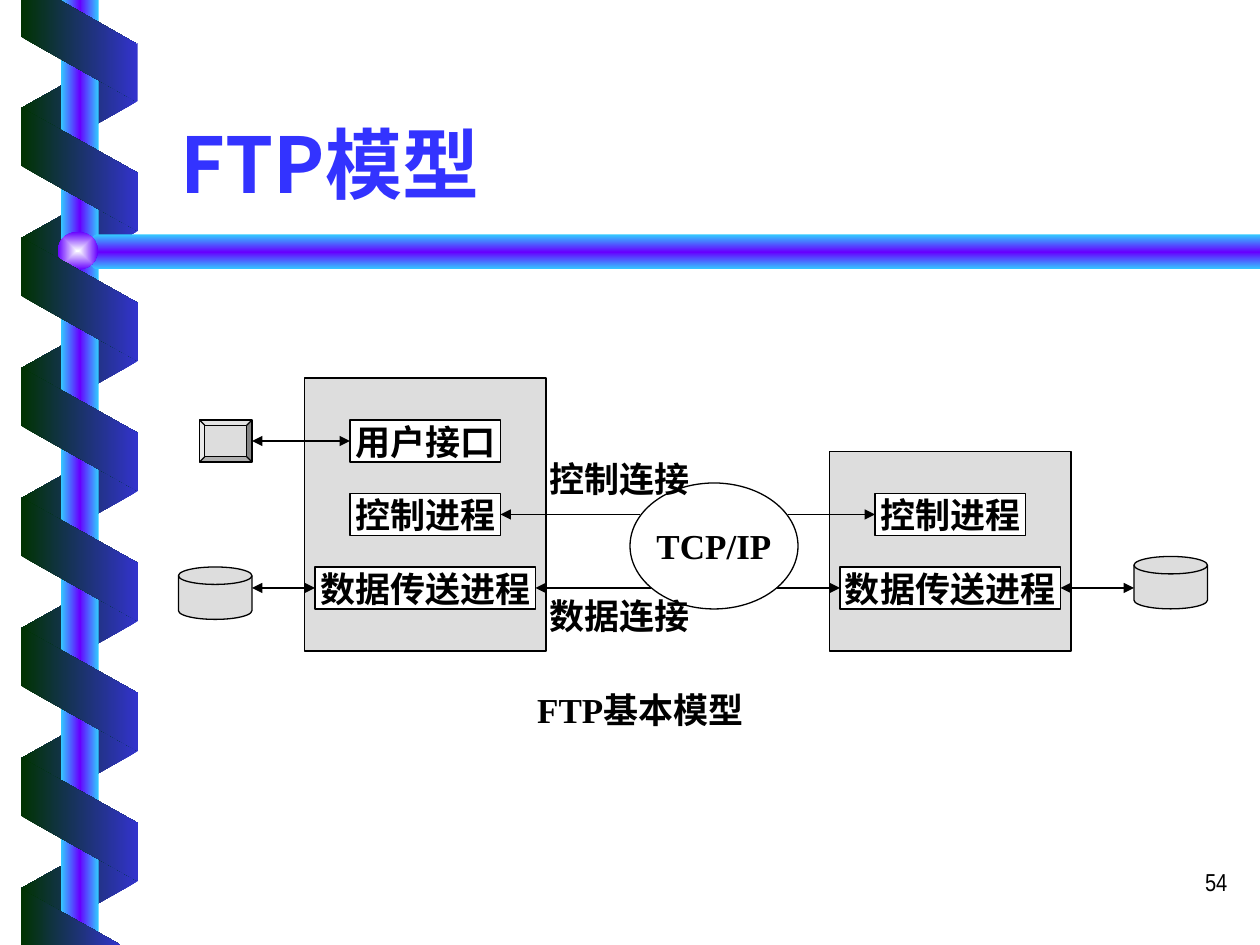
from dataclasses import dataclass
from typing import NamedTuple

from lxml.etree import SubElement
from pptx import Presentation
from pptx.dml.color import RGBColor
from pptx.enum.shapes import MSO_CONNECTOR, MSO_SHAPE as SHAPE
from pptx.enum.text import MSO_ANCHOR as ANCHOR, MSO_AUTO_SIZE as FIT, PP_ALIGN as ALIGN
from pptx.oxml.ns import qn
from pptx.util import Pt


@dataclass(frozen=True)
class Theme:
    title: str = "3333FF"
    ink: str = "000000"
    paper: str = "FFFFFF"
    panel: str = "DDDDDD"
    dark: str = "003300"
    blue: str = "3333CC"
    sky: str = "33CCFF"
    violet: str = "6600FF"
    glow: str = "FEFFFF"
    serif: str = "Times New Roman"
    sans: str = "Noto Sans CJK SC"
    narrow: str = "Arial Narrow"
    title_size: float = 44
    label_size: float = 20
    number_size: float = 14
    line: float = 0.75


class Box(NamedTuple):
    x: float
    y: float
    w: float
    h: float


class Node(NamedTuple):
    kind: SHAPE
    box: Box
    fill: str | None
    text: str = ""


class Arrow(NamedTuple):
    x1: float
    x2: float
    y: float
    both: bool = False


class Caption(NamedTuple):
    box: Box
    text: str


T = Theme()
RIBBON = (T.dark, T.blue)
TUBE = (T.sky, T.violet, T.sky)


def write(tf, text: str, *, size=T.label_size, font=T.serif, color=T.ink, bold=True,
          align=ALIGN.CENTER, anchor=ANCHOR.TOP, wrap=True, fit=FIT.NONE) -> None:
    tf.word_wrap, tf.auto_size, tf.vertical_anchor = wrap, fit, anchor
    p = tf.paragraphs[0]
    p.alignment = align
    r = p.add_run()
    r.text = text
    r.font.size, r.font.name, r.font.bold = Pt(size), font, bold
    r.font.color.rgb = RGBColor.from_string(color)
    SubElement(r.font._element, qn("a:ea"), typeface=T.sans)


def shade(sp, colors: tuple, *, angle: int | None = 0) -> None:
    """Evenly spaced gradient; angle None makes it radiate from the centre."""
    sp.shadow.inherit = False
    sp.line.fill.background()
    sp.fill.gradient()
    grad = sp._element.spPr.find(qn("a:gradFill"))
    grad.set("rotWithShape", "0")
    for child in list(grad):
        grad.remove(child)
    stops = SubElement(grad, qn("a:gsLst"))
    for i, color in enumerate(colors):
        stop = SubElement(stops, qn("a:gs"), pos=str(100000 * i // (len(colors) - 1)))
        SubElement(stop, qn("a:srgbClr"), val=color)
    if angle is None:
        center = SubElement(grad, qn("a:path"), path="rect")
        SubElement(center, qn("a:fillToRect"), dict.fromkeys("ltrb", "50000"))
    else:
        SubElement(grad, qn("a:lin"), ang=str(angle * 60000), scaled="0")


def add_shape(shapes, kind: SHAPE, box: Box):
    return shapes.add_shape(kind, *map(Pt, box))


def add_band(shapes, y: float, *, front: bool) -> None:
    sp = add_shape(shapes, SHAPE.PARALLELOGRAM, Box(10.1, y, 70.5, 66.6))
    sp.adjustments[0] = 0.56
    sp.rotation = 270 if front else 90
    if not front:
        sp._element.spPr.find(qn("a:xfrm")).set("flipH", "1")
    shade(sp, RIBBON if front else RIBBON[::-1])


def add_outline(shapes, points: list, colors: tuple, *, angle: int = 0) -> None:
    builder = shapes.build_freeform(*points[0], scale=Pt(1))
    builder.add_line_segments(points[1:], close=True)
    shade(builder.convert_to_shape(), colors, angle=angle)


def add_node(shapes, node: Node) -> None:
    sp = add_shape(shapes, node.kind, node.box)
    sp.shadow.inherit = False
    if node.fill:
        sp.fill.solid()
        sp.fill.fore_color.rgb = RGBColor.from_string(node.fill)
    else:
        sp.fill.background()
    sp.line.color.rgb = RGBColor.from_string(T.ink)
    sp.line.width = Pt(T.line)
    if node.text:
        write(sp.text_frame, node.text, anchor=ANCHOR.MIDDLE, wrap=False)


def add_arrow(shapes, arrow: Arrow) -> None:
    cx = shapes.add_connector(MSO_CONNECTOR.STRAIGHT, *map(Pt, (arrow.x1, arrow.y, arrow.x2, arrow.y)))
    cx.line.color.rgb = RGBColor.from_string(T.ink)
    cx.line.width = Pt(T.line)
    ln = cx.line._get_or_add_ln()
    for end in ("headEnd", "tailEnd") if arrow.both else ("tailEnd",):
        SubElement(ln, qn(f"a:{end}"), type="triangle")
    SubElement(cx._element.spPr, qn("a:effectLst"))


def add_text(shapes, box: Box, text: str, **fmt) -> None:
    write(shapes.add_textbox(*map(Pt, box)).text_frame, text, **fmt)


def draw_backdrop(shapes) -> None:
    pitch = 74.3
    for i in range(7):
        add_band(shapes, 26.5 + i * pitch, front=False)
    # Post, crossbar and the ball at their joint
    shade(add_shape(shapes, SHAPE.RECTANGLE, Box(34.8, 0, 21.6, 540)), TUBE)
    add_outline(shapes, [(720, 134), (54.7, 134), (43.2, 144), (54.7, 154), (720, 154)],
                TUBE, angle=90)
    shade(add_shape(shapes, SHAPE.OVAL, Box(33, 132.5, 23, 21.6)), (T.glow, T.violet), angle=None)
    # Front of the ribbon, cut off at both slide edges
    for i in range(6):
        add_band(shapes, 63.4 + i * pitch, front=True)
    add_outline(shapes, [(12.2, 0), (12.2, 21), (78.5, 58.3), (78.5, 25), (33.8, 0)], RIBBON)
    add_outline(shapes, [(69, 539.5), (12.2, 507.5), (11.8, 540)], RIBBON)


def draw_model(shapes) -> None:
    row_h, user_y, control_y, data_y = 24, 240, 282, 324
    control_mid, data_mid = control_y + 12, data_y + 12
    client, server, host_w = 174, 474, 138
    # Process boxes are centred in their host and wide enough for their labels
    short_w, long_w = 86, 126
    short_in, long_in = (host_w - short_w) / 2, (host_w - long_w) / 2
    disk, rect = SHAPE.FLOWCHART_MAGNETIC_DISK, SHAPE.RECTANGLE
    nodes = [
        Node(SHAPE.BEVEL, Box(114, user_y, 30, row_h), T.panel),
        Node(disk, Box(102, data_y, 42, 30), T.panel),
        Node(disk, Box(648, 318, 42, 30), T.panel),
        Node(rect, Box(client, 216, host_w, 156), T.panel),
        Node(rect, Box(server, 258, host_w, 114), T.panel),
        Node(rect, Box(client + short_in, user_y, short_w, row_h), T.paper, "用户接口"),
        Node(SHAPE.OVAL, Box(360, 276, 96, 72), None, "TCP/IP"),
    ]
    # Both hosts run the same pair of processes
    for x in (client, server):
        nodes += [Node(rect, Box(x + short_in, control_y, short_w, row_h), T.paper, "控制进程"),
                  Node(rect, Box(x + long_in, data_y, long_w, row_h), T.paper, "数据传送进程")]
    arrows = [
        Arrow(366, client + short_in + short_w, control_mid),
        Arrow(450, server + short_in, control_mid),
        Arrow(372, client + long_in + long_w, data_mid),
        Arrow(444, server + long_in, data_mid),
        Arrow(144, client + long_in, data_mid, True),
        Arrow(server + long_in + long_w, 648, data_mid, True),
        Arrow(144, client + short_in, user_y + 12, True),
    ]
    captions = [
        Caption(Box(300, 258, 108, 31.5), "控制连接"),
        Caption(Box(300, 336, 108, 31.5), "数据连接"),
        Caption(Box(288, 390, 156, 31.5), "FTP基本模型"),
    ]
    for node in nodes:
        add_node(shapes, node)
    for arrow in arrows:
        add_arrow(shapes, arrow)
    for caption in captions:
        add_text(shapes, caption.box, caption.text, fit=FIT.SHAPE_TO_FIT_TEXT)


def main() -> None:
    prs = Presentation()
    prs.slide_width, prs.slide_height = Pt(720), Pt(540)
    s = prs.slides.add_slide(prs.slide_layouts[5])
    draw_backdrop(s.shapes)
    # Title and slide number
    title = s.shapes.title
    title.left, title.top, title.width, title.height = map(Pt, (96, 33, 612, 90))
    write(title.text_frame, "FTP模型", size=T.title_size, font=T.sans, color=T.title,
          align=ALIGN.LEFT, anchor=ANCHOR.BOTTOM)
    add_text(s.shapes, Box(558.5, 492, 150, 36), "54", size=T.number_size, font=T.narrow,
             bold=False, align=ALIGN.RIGHT)
    draw_model(s.shapes)
    prs.save("out.pptx")


if __name__ == "__main__":
    main()
